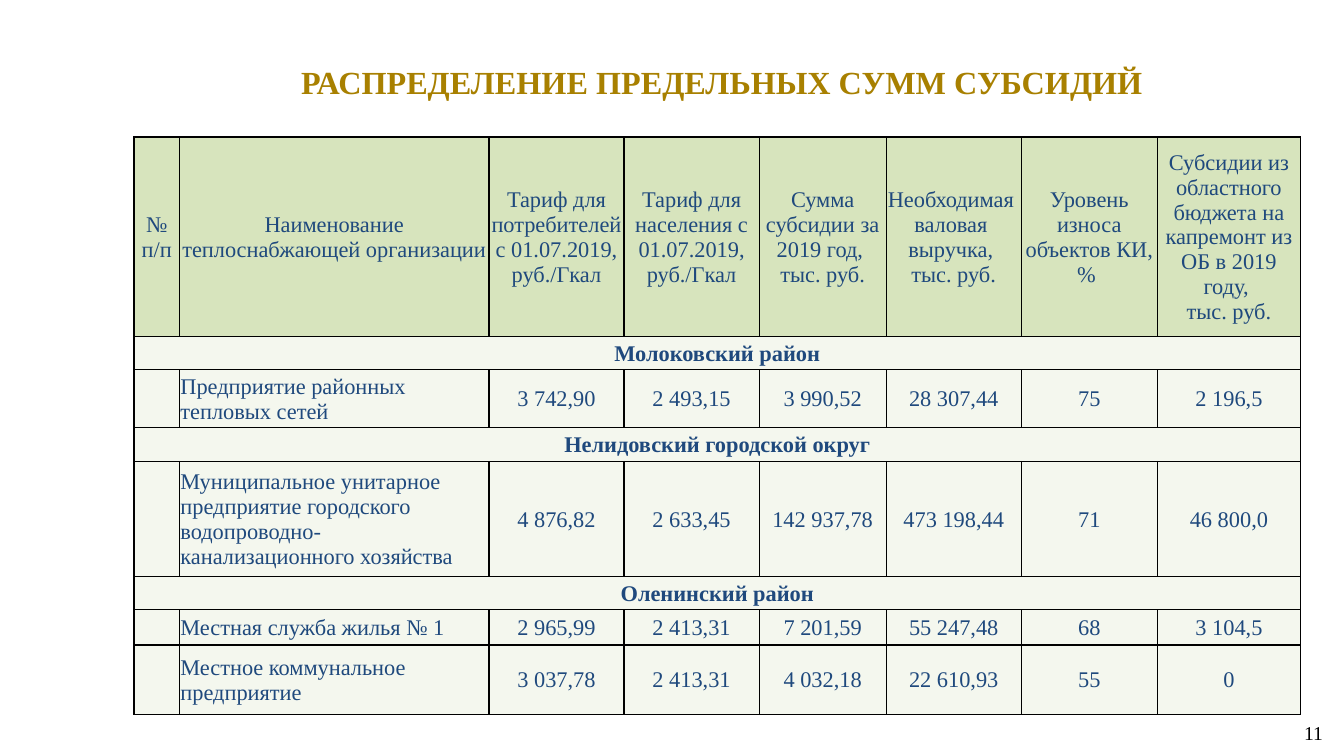
from lxml import etree
from pptx import Presentation
from pptx.dml.color import RGBColor
from pptx.enum.shapes import MSO_SHAPE
from pptx.enum.text import MSO_ANCHOR, PP_ALIGN
from pptx.oxml.ns import qn
from pptx.util import Inches, Pt

FONT = "Times New Roman"
GOLD = RGBColor(0xA8, 0x80, 0x00)
NAVY = RGBColor(0x1F, 0x49, 0x7D)
BLACK = RGBColor(0x00, 0x00, 0x00)
WHITE = RGBColor(0xFF, 0xFF, 0xFF)
HEADER_GREEN = RGBColor(0xD7, 0xE4, 0xBD)
BODY_GREEN = RGBColor(0xEB, 0xF1, 0xDE)
LEFT, CENTER, RIGHT = PP_ALIGN.LEFT, PP_ALIGN.CENTER, PP_ALIGN.RIGHT
MIDDLE = MSO_ANCHOR.MIDDLE
TOP = MSO_ANCHOR.TOP
RECTANGLE = MSO_SHAPE.RECTANGLE

COLUMN_WIDTHS = [0.45, 3.07, 1.34, 1.34, 1.26, 1.34, 1.35, 1.42]
ROW_HEIGHTS = [1.98, 0.33, 0.57, 0.34, 1.14, 0.33, 0.35, 0.69]

HEADER = [
    "№ п/п",
    "Наименование теплоснабжающей организации",
    "Тариф для потребителей с 01.07.2019,\nруб./Гкал",
    "Тариф для населения с 01.07.2019,\nруб./Гкал",
    "Сумма субсидии за 2019 год, \nтыс. руб.",
    "Необходимая \nваловая \nвыручка, \nтыс. руб.",
    "Уровень износа объектов КИ, % ",
    "Субсидии из областного бюджета на капремонт из ОБ в 2019 году, \nтыс. руб.",
]
# A row with a single entry is a district heading across the table
ROWS = [
    HEADER,
    ["Молоковский район"],
    ["", "Предприятие районных тепловых сетей",
     "3 742,90", "2 493,15", "3 990,52", "28 307,44", "75", "2 196,5"],
    ["Нелидовский городской округ"],
    ["", "Муниципальное унитарное предприятие городского "
     "водопроводно-канализационного хозяйства",
     "4 876,82", "2 633,45", "142 937,78", "473 198,44", "71", "46 800,0"],
    ["Оленинский район"],
    ["", "Местная служба жилья № 1",
     "2 965,99", "2 413,31", "7 201,59", "55 247,48", "68", "3 104,5"],
    ["", "Местное коммунальное предприятие",
     "3 037,78", "2 413,31", "4 032,18", "22 610,93", "55", "0"],
]


def style_text(frame, size, color, align, bold=False):
    for para in frame.paragraphs:
        para.alignment = align
        para.font.name = FONT
        para.font.size = Pt(size)
        para.font.bold = bold
        para.font.color.rgb = color


def add_borders(cell):
    properties = cell._tc.get_or_add_tcPr()
    for index, side in enumerate(("a:lnL", "a:lnR", "a:lnT", "a:lnB")):
        line = etree.Element(qn(side), w=str(Pt(1)))
        fill = etree.SubElement(line, qn("a:solidFill"))
        etree.SubElement(fill, qn("a:srgbClr"), val=str(BLACK))
        properties.insert(index, line)


def fill_cell(cell, color, opacity=100):
    cell.fill.solid()
    cell.fill.fore_color.rgb = color
    if opacity < 100:
        tint = cell._tc.tcPr.find(qn("a:solidFill")).find(qn("a:srgbClr"))
        etree.SubElement(tint, qn("a:alpha"), val=str(opacity * 1000))


def add_title(page, text):
    box = page.shapes.add_textbox(Inches(1.85), Inches(0.56), Inches(10.63), Inches(0.49))
    frame = box.text_frame
    frame.word_wrap = True
    frame.vertical_anchor = MIDDLE
    frame.text = text
    style_text(frame, 23, GOLD, CENTER, bold=True)


def add_page_number(page, number):
    box = page.shapes.add_shape(
        RECTANGLE, Inches(12.81), Inches(7.1), Inches(0.41), Inches(0.34))
    box.shadow.inherit = False
    box.fill.solid()
    box.fill.fore_color.rgb = WHITE
    box.line.fill.background()
    frame = box.text_frame
    frame.word_wrap = True
    frame.vertical_anchor = TOP
    frame.text = number
    style_text(frame, 14, BLACK, RIGHT)


def add_subsidy_table(page):
    table = page.shapes.add_table(
        len(ROWS), len(HEADER), Inches(1.33), Inches(1.36),
        Inches(sum(COLUMN_WIDTHS)), Inches(sum(ROW_HEIGHTS))).table
    table.first_row = False
    table.horz_banding = False
    for column, width in zip(table.columns, COLUMN_WIDTHS):
        column.width = Inches(width)
    for row, height in zip(table.rows, ROW_HEIGHTS):
        row.height = Inches(height)

    for row_index, texts in enumerate(ROWS):
        is_header = row_index == 0
        is_district = len(texts) == 1
        for column_index in range(len(HEADER)):
            cell = table.cell(row_index, column_index)
            cell.margin_left = cell.margin_right = cell.margin_top = Inches(0.01)
            cell.margin_bottom = 0
            cell.vertical_anchor = MIDDLE
            if column_index < len(texts):
                cell.text = texts[column_index]
            is_name = column_index == 1 and not is_header
            style_text(cell.text_frame, 16, NAVY, LEFT if is_name else CENTER, is_district)
            if is_header:
                fill_cell(cell, HEADER_GREEN)
            else:
                fill_cell(cell, BODY_GREEN, opacity=50)
            add_borders(cell)
        if is_district:
            table.cell(row_index, 0).merge(table.cell(row_index, len(HEADER) - 1))


def main():
    deck = Presentation()
    deck.slide_width = Inches(13.33)
    deck.slide_height = Inches(7.5)
    page = deck.slides.add_slide(deck.slide_layouts[6])
    add_title(page, "РАСПРЕДЕЛЕНИЕ ПРЕДЕЛЬНЫХ СУММ СУБСИДИЙ")
    add_page_number(page, "11")
    add_subsidy_table(page)
    deck.save("out.pptx")


if __name__ == "__main__":
    main()
